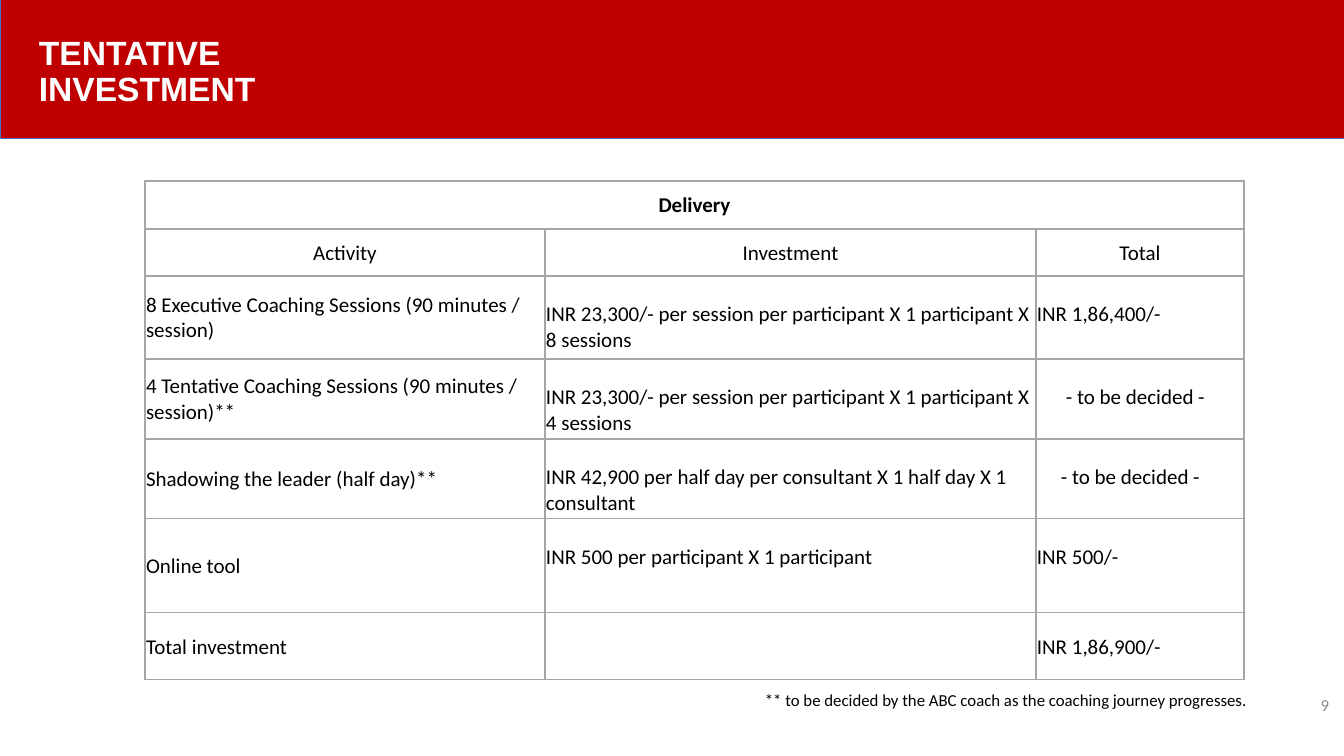
from dataclasses import dataclass

from lxml import etree
from pptx import Presentation
from pptx import util as u
from pptx.dml.color import RGBColor
from pptx.enum import shapes, text
from pptx.oxml import ns

PX = 914400 / 100.8
A, P = text.PP_ALIGN, text.MSO_ANCHOR


@dataclass(frozen=True)
class Theme:
    """Colours, fonts and type sizes of the slide."""
    band: str = "C00000"
    band_line: str = "4472C4"
    title: str = "FFFFFF"
    body: str = "000000"
    number: str = "8C8C8C"
    grid: str = "A5A5A5"
    title_font: str = "Arial"
    body_font: str = "Calibri"
    title_pt: int = 24
    table_pt: int = 15
    note_pt: int = 12


T = Theme()
COLUMNS = (400, 491, 208)
ROWS = (48, 47, 83, 80, 80, 94, 67)
BLANK_LINE = 26
TBD = "- to be decided -"
HEADINGS = ("Activity", "Investment", "Total")
ITEMS = (
    ("8 Executive Coaching Sessions (90 minutes / session)",
     "INR 23,300/- per session per participant X 1 participant X 8 sessions",
     "INR 1,86,400/-", 0),
    ("4 Tentative Coaching Sessions (90 minutes / session)**",
     "INR 23,300/- per session per participant X 1 participant X 4 sessions",
     TBD, 29),
    ("Shadowing the leader (half day)**",
     "INR 42,900 per half day per consultant X 1 half day X 1 consultant",
     TBD, 24),
    ("Online tool", "INR 500 per participant X 1 participant",
     "INR 500/-", 0),
)


def px(n):
    """Turn pixels into EMU."""
    return u.Emu(round(n * PX))


def rgb(value):
    """Make a colour from its hex value."""
    return RGBColor.from_string(value)


def write(p, words, size, colour, font=T.body_font, bold=False, align=A.LEFT):
    """Add one styled run to a paragraph."""
    p.alignment = align
    r = p.add_run()
    r.text = words
    r.font.name, r.font.size, r.font.bold = font, u.Pt(size), bold
    r.font.color.rgb = rgb(colour)


def add_box(s, x, y, w, h, wrap=True):
    """Add a text box and return its text frame."""
    tf = s.shapes.add_textbox(px(x), px(y), px(w), px(h)).text_frame
    tf.word_wrap = wrap
    return tf


def add_header(s, x, y, w, h):
    """Draw the title band with its two-line title."""
    sp = s.shapes.add_shape(shapes.MSO_SHAPE.RECTANGLE, px(x), px(y), px(w), px(h))
    sp.shadow.inherit = False
    sp.fill.solid()
    sp.fill.fore_color.rgb = rgb(T.band)
    sp.line.color.rgb = rgb(T.band_line)
    sp.line.width = u.Pt(0.5)
    tf = add_box(s, x + 29, y + 32, 239, 84, wrap=False)
    for i, line in enumerate(("TENTATIVE", "INVESTMENT")):
        p = tf.add_paragraph() if i else tf.paragraphs[0]
        p.line_spacing = 0.9
        write(p, line, T.title_pt, T.title, T.title_font, bold=True)


def style_cell(cell):
    """Clear a cell's fill, tighten its margins and rule its four sides."""
    cell.fill.background()
    cell.margin_left = cell.margin_right = cell.margin_top = px(1)
    cell.margin_bottom = 0
    cell.vertical_anchor = P.MIDDLE
    tc_pr = cell._tc.get_or_add_tcPr()
    for i, side in enumerate(("lnL", "lnR", "lnT", "lnB")):
        ln = etree.Element(ns.qn(f"a:{side}"), w=str(u.Pt(1)))
        fill = etree.SubElement(ln, ns.qn("a:solidFill"))
        etree.SubElement(fill, ns.qn("a:srgbClr"), val=T.grid)
        tc_pr.insert(i, ln)


def fill_cell(cell, words, bold=False, align=A.LEFT, lowered=False, indent=0):
    """Write a cell, optionally one line down from its top and indented."""
    if lowered:
        cell.vertical_anchor = P.TOP
        cell.margin_top = px(BLANK_LINE)
    cell.margin_left = px(1 + indent)
    write(cell.text_frame.paragraphs[0], words, T.table_pt, T.body,
          bold=bold, align=align)


def add_investment_table(s, x, y):
    """Build the table of activities, investments and totals."""
    table = s.shapes.add_table(len(ROWS), len(COLUMNS), px(x), px(y),
                               px(sum(COLUMNS)), px(sum(ROWS))).table
    table.first_row = table.horz_banding = False
    for col, width in zip(table.columns, COLUMNS):
        col.width = px(width)
    for row, height in zip(table.rows, ROWS):
        row.height = px(height)
    for cell in table.iter_cells():
        style_cell(cell)
    table.cell(0, 0).merge(table.cell(0, len(COLUMNS) - 1))
    fill_cell(table.cell(0, 0), "Delivery", bold=True, align=A.CENTER)
    for c, heading in enumerate(HEADINGS):
        fill_cell(table.cell(1, c), heading, align=A.CENTER)
    for r, (activity, investment, total, indent) in enumerate(ITEMS, 2):
        fill_cell(table.cell(r, 0), activity)
        fill_cell(table.cell(r, 1), investment, lowered=True)
        fill_cell(table.cell(r, 2), total, lowered=True, indent=indent)
    last = len(ROWS) - 1
    fill_cell(table.cell(last, 0), "Total investment")
    fill_cell(table.cell(last, 2), "INR 1,86,900/-")


def add_footer(s, x, y, w, h):
    """Place the footnote and the slide number."""
    tf = add_box(s, x, y + 4, 563, 30)
    write(tf.paragraphs[0],
          "** to be decided by the ABC coach as the coaching journey progresses.",
          T.note_pt, T.body)
    tf = add_box(s, x + w - 219, y, 219, h)
    tf.vertical_anchor = P.MIDDLE
    write(tf.paragraphs[0], "9", T.note_pt, T.number, align=A.RIGHT)


def main():
    """Build the slide and save it."""
    prs = Presentation()
    prs.slide_width, prs.slide_height = px(1344), px(756)
    s = prs.slides.add_slide(prs.slide_layouts[6])
    add_header(s, 0, -1, 1344, 139)
    add_investment_table(s, 145, 181)
    add_footer(s, 755, 681, 584, 47)
    prs.save("out.pptx")


if __name__ == "__main__":
    main()
